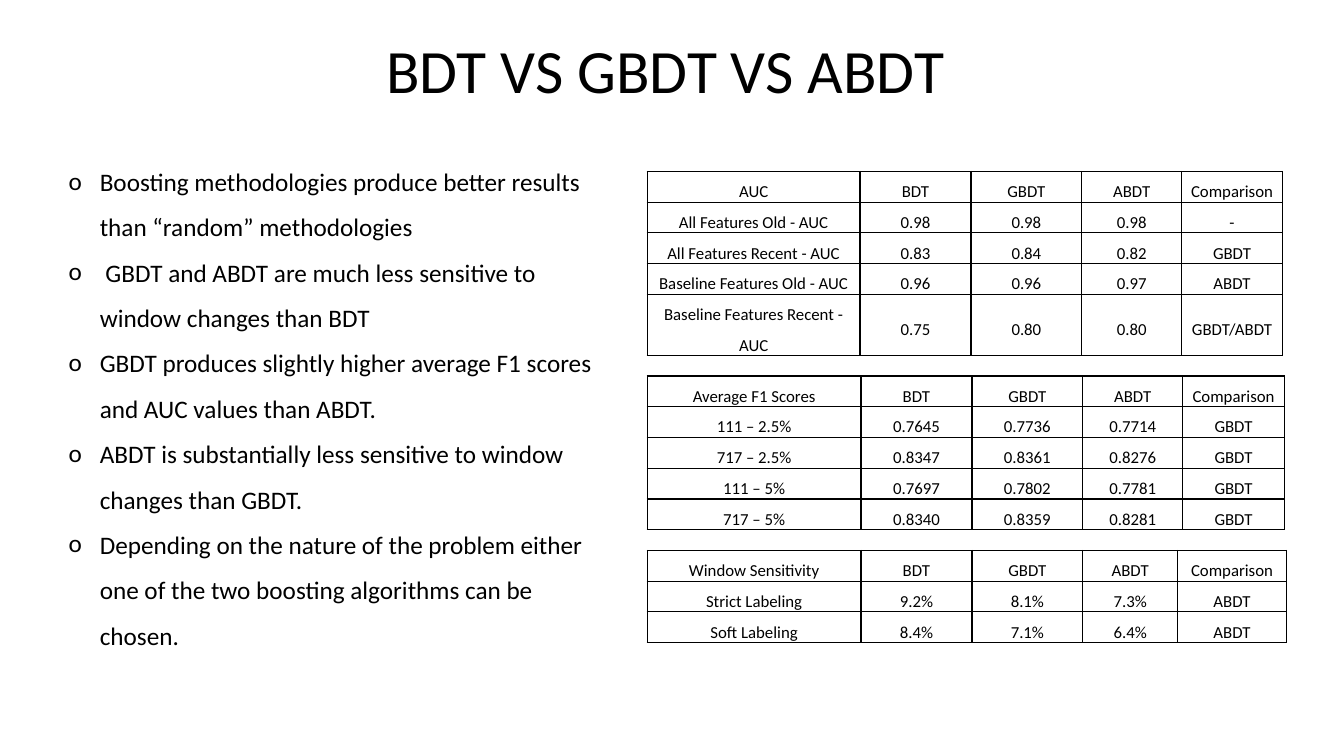
from dataclasses import dataclass

from lxml import etree
from pptx import Presentation
from pptx import util as u
from pptx.dml.color import RGBColor
from pptx.enum import text as t
from pptx.oxml.ns import qn


@dataclass(frozen=True)
class Theme:
    font: str = "Calibri"
    ink: str = "000000"
    title: int = 44
    body: int = 18
    cell: int = 12
    rule: int = 1


THEME = Theme()
LEFT = 6.42
ROW = 0.3

POINTS = [
    "Boosting methodologies produce better results than “random” methodologies",
    " GBDT and ABDT are much less sensitive to window changes than BDT",
    "GBDT produces slightly higher average F1 scores and AUC values than ABDT.",
    "ABDT is substantially less sensitive to window changes than GBDT.",
    "Depending on the nature of the problem either one of the two boosting "
    "algorithms can be chosen.",
]
HEADS = ["BDT", "GBDT", "ABDT", "Comparison"]

# Each table: top, column widths, first heading, rows
TABLES = [
    (1.7, [2.11, 1.1, 1.1, 0.99, 1], "AUC", [
        ["All Features Old - AUC", "0.98", "0.98", "0.98", "-"],
        ["All Features Recent - AUC", "0.83", "0.84", "0.82", "GBDT"],
        ["Baseline Features Old - AUC", "0.96", "0.96", "0.97", "ABDT"],
        ["Baseline Features Recent - AUC", "0.75", "0.80", "0.80", "GBDT/ABDT"],
    ]),
    (3.73, [2.12, 1.1, 1.1, 0.99, 1.01], "Average F1 Scores", [
        ["111 – 2.5%", "0.7645", "0.7736", "0.7714", "GBDT"],
        ["717 – 2.5%", "0.8347", "0.8361", "0.8276", "GBDT"],
        ["111 – 5%", "0.7697", "0.7802", "0.7781", "GBDT"],
        ["717 – 5%", "0.8340", "0.8359", "0.8281", "GBDT"],
    ]),
    (5.46, [2.12, 1.1, 1.1, 0.94, 1.08], "Window Sensitivity", [
        ["Strict Labeling", "9.2%", "8.1%", "7.3%", "ABDT"],
        ["Soft Labeling", "8.4%", "7.1%", "6.4%", "ABDT"],
    ]),
]


def write(para, words, size, align=t.PP_ALIGN.LEFT, space=1.5):
    """Fill one paragraph with formatted text."""
    para.alignment = align
    para.line_spacing = space
    para.space_before = para.space_after = u.Pt(0)
    run = para.add_run()
    run.text = words
    run.font.name = THEME.font
    run.font.size = u.Pt(size)
    run.font.color.rgb = RGBColor.from_string(THEME.ink)


def place(shape, left, top, width, height):
    shape.left, shape.top = u.Inches(left), u.Inches(top)
    shape.width, shape.height = u.Inches(width), u.Inches(height)


def bullet(para, sign="o"):
    """Give a paragraph a hanging bullet."""
    props = para._p.get_or_add_pPr()
    props.set("marL", str(u.Inches(0.31)))
    props.set("indent", str(u.Inches(-0.31)))
    etree.SubElement(props, qn("a:buFont"), typeface=THEME.font)
    etree.SubElement(props, qn("a:buChar"), char=sign)


def border(cell):
    """Rule all four sides of a cell; lines come before the fill."""
    props = cell._tc.get_or_add_tcPr()
    for spot, side in enumerate(["a:lnL", "a:lnR", "a:lnT", "a:lnB"]):
        line = etree.Element(qn(side), w=str(u.Pt(THEME.rule)))
        fill = etree.SubElement(line, qn("a:solidFill"))
        etree.SubElement(fill, qn("a:srgbClr"), val=THEME.ink)
        props.insert(spot, line)


def grid(slide, top, widths, head, rows):
    """Draw one ruled table with centred text."""
    data = [[head] + HEADS] + rows
    frame = slide.shapes.add_table(
        len(data), len(widths), u.Inches(LEFT), u.Inches(top),
        u.Inches(sum(widths)), u.Inches(ROW * len(data)))
    table = frame.table
    table.first_row = table.horz_banding = False
    for col, width in zip(table.columns, widths):
        col.width = u.Inches(width)
    for cell, words in zip(table.iter_cells(), sum(data, [])):
        cell.margin_left = cell.margin_right = u.Inches(0.07)
        cell.margin_top = cell.margin_bottom = 0
        cell.vertical_anchor = t.MSO_ANCHOR.MIDDLE
        cell.fill.background()
        border(cell)
        write(cell.text_frame.paragraphs[0], words, THEME.cell,
              align=t.PP_ALIGN.CENTER)


def main():
    deck = Presentation()
    deck.slide_width, deck.slide_height = u.Inches(13.33), u.Inches(7.5)
    slide = deck.slides.add_slide(deck.slide_layouts[1])

    # Title
    title = slide.shapes.title
    place(title, 0.92, 0, 11.5, 1.45)
    title.text_frame.vertical_anchor = t.MSO_ANCHOR.MIDDLE
    write(title.text_frame.paragraphs[0], "BDT VS GBDT VS ABDT ", THEME.title,
          align=t.PP_ALIGN.CENTER, space=0.9)

    # Findings
    body = slide.placeholders[1]
    place(body, 0.58, 1.45, 5.48, 5.1)
    frame = body.text_frame
    frame.auto_size = t.MSO_AUTO_SIZE.NONE
    for spot, words in enumerate(POINTS):
        para = frame.add_paragraph() if spot else frame.paragraphs[0]
        write(para, words, THEME.body)
        bullet(para)

    # Result tables
    for top, widths, head, rows in TABLES:
        grid(slide, top, widths, head, rows)

    deck.save("out.pptx")


if __name__ == "__main__":
    main()
